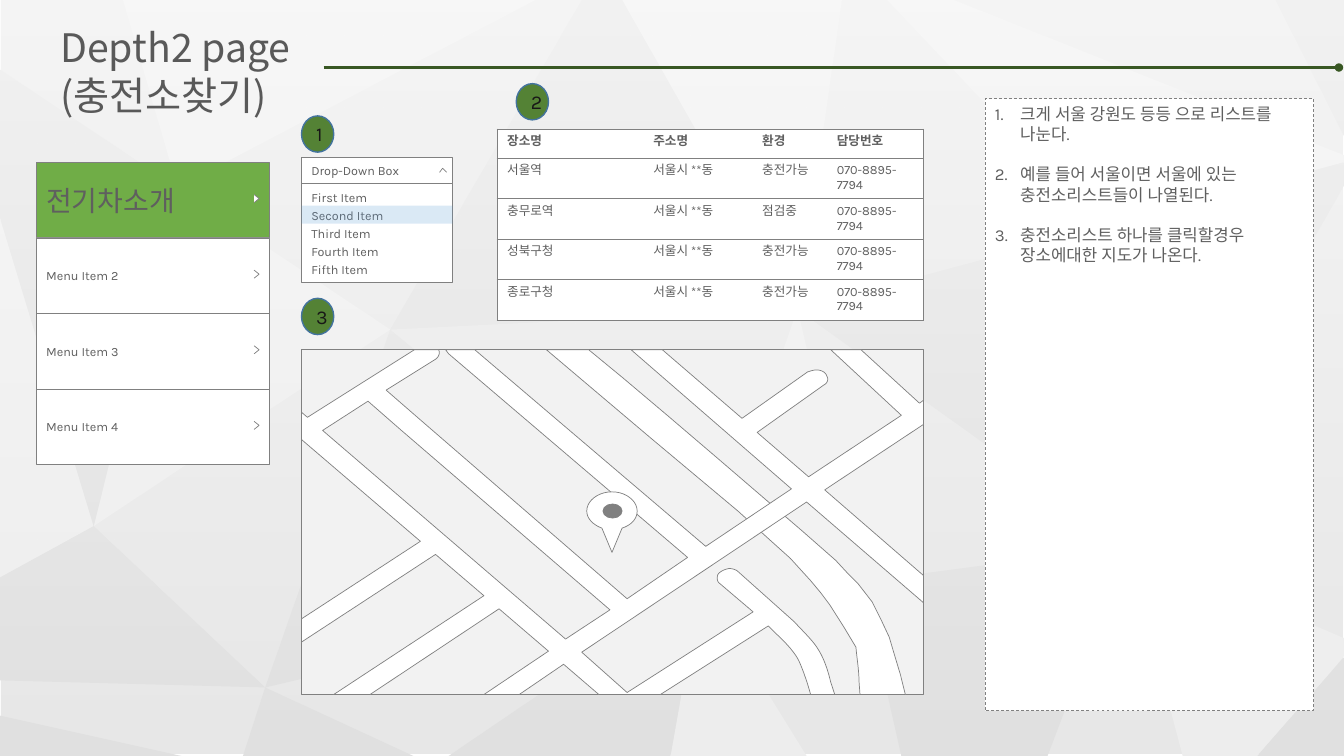
from lxml.etree import SubElement
from pptx import Presentation
from pptx.dml.color import RGBColor
from pptx.enum.dml import MSO_LINE
from pptx.enum.shapes import MSO_CONNECTOR, MSO_SHAPE as Preset
from pptx.enum.text import MSO_ANCHOR as Anchor, PP_ALIGN as Align
from pptx.oxml.ns import qn
from pptx.util import Inches, Pt

WHITE = RGBColor(0xFF, 0xFF, 0xFF)
PAPER = RGBColor(0xE7, 0xE7, 0xE7)
LIGHT_FACET = RGBColor(0xED, 0xED, 0xED)
DARK_FACET = RGBColor(0xE0, 0xE0, 0xE0)
GRAY = RGBColor(0x80, 0x80, 0x80)
LAND = RGBColor(0xF2, 0xF2, 0xF2)
TEXT = RGBColor(0x5F, 0x5F, 0x5F)
TITLE = RGBColor(0x59, 0x59, 0x59)
INK = RGBColor(0x18, 0x17, 0x17)
RULE = RGBColor(0x38, 0x57, 0x23)
BADGE = RGBColor(0x54, 0x82, 0x35)
BADGE_EDGE = RGBColor(0x43, 0x73, 0x9E)
MENU_GREEN = RGBColor(0x70, 0xAD, 0x47)
HIGHLIGHT = RGBColor(0x5B, 0x9B, 0xD5)
BODY_FONT, KOREAN_FONT = "Karla", "Noto Sans CJK KR"

LIGHT_FACETS = [
    "6.95,5.8 6.65,7.5 8,7.5", "7.91,3.07 6.95,5.8 8.55,5.77",
    "11.18,5.42 11.73,7.5 12.47,7.5 C 12.79,7.13 13.15,6.73 13.33,6.51 13.33,6.33",
    "0,2.16 0,5.73 0.93,5.22", "8.8,0 10.94,2.26 13.33,1.61 13.33,1.54 9.46,0",
    "0.93,5.22 3.87,3.27 1.76,1.86", "1.22,0 1.76,1.86 5.31,0",
    "6.17,0 7.91,3.07 8.35,0",
]
DARK_FACETS = [
    "0.93,5.22 0,5.73 0,6.75 2.63,6.82", "2.63,6.82 2.41,7.5 4.1,7.5",
    "13.33,6.52 C 13.15,6.73 12.79,7.13 12.47,7.5 13.33,7.5",
    "0,7.1 0,7.5 1.8,7.5", "11.18,5.42 8.55,5.77 8.94,7.5 10.39,7.5",
    "6.95,5.8 4.45,7.5 6.65,7.5",
    "13.33,1.61 7.91,3.07 11.18,5.42 C 11.18,5.42 12.87,2.69 13.33,1.84",
    "6.95,5.8 3.87,3.27 2.63,6.82", "12.65,0 13.33,1.35 13.33,0",
    "0,0.69 0,2.16 0.93,5.22 1.76,1.86", "5.77,0 3.87,3.27 7.91,3.07 6.17,0",
]
HIGHWAY = (
    "5.42,3.47 6.46,4.35 7.32,5.07 7.64,5.36 7.84,5.54 7.94,5.65 8.04,5.76 8.14,5.88 "
    "8.23,6 8.37,6.22 8.49,6.42 C 8.5,6.54 8.52,6.65 8.52,6.75 8.53,6.89 8.98,6.89 "
    "8.93,6.69 8.87,6.49 8.82,6.32 8.74,6.15 8.65,5.97 8.58,5.88 8.51,5.79 8.41,5.69 "
    "8.29,5.56 7.96,5.27 7.11,4.54 6.63,4.13 6.18,3.75 5.84,3.47"
)
SOUTH_STREETS = (
    "4.11,3.47 3.05,4.14 2.99,4.09 2.99,4.36 4.17,5.37 2.99,6.14 2.99,6.37 4.32,5.5 "
    "4.8,5.91 3.31,6.89 3.67,6.89 4.95,6.04 5.44,6.46 4.8,6.89 5.15,6.89 5.59,6.59 "
    "5.94,6.89 6.55,6.89 7.62,6.21 7.69,6.28 C 7.78,6.36 7.87,6.46 7.91,6.53 "
    "C 7.94,6.58 8,6.74 8.04,6.89 8.28,6.89 8.24,6.77 C 8.21,6.64 8.17,6.53 8.12,6.45 "
    "C 8.07,6.36 7.96,6.26 7.88,6.17 7.32,5.67 C 7.3,5.65 7.26,5.64 7.23,5.64 "
    "C 7.18,5.65 7.14,5.67 7.12,5.7 C 7.11,5.73 7.11,5.77 7.14,5.79 7.47,6.07 6.22,6.87"
)
NORTH_STREETS = (
    "5.77,6.47 8,4.98 9.16,5.98 9.16,5.71 8.18,4.86 9.16,4.21 9.16,3.97 9.12,4 8.54,3.47 "
    "8.24,3.47 8.94,4.12 8.02,4.73 7.51,4.29 8.17,3.82 C 8.21,3.8 8.22,3.76 8.2,3.73 "
    "C 8.19,3.69 8.14,3.67 8.1,3.67 C 8.07,3.67 8.04,3.68 8.01,3.69 7.36,4.15 6.57,3.47 "
    "6.26,3.47 7.85,4.85 7,5.42 4.71,3.47 4.42,3.47 4.45,3.51 6.82,5.53 6.22,5.94 "
    "4.14,4.14 3.83,3.87 4.31,3.57 C 4.35,3.55 4.37,3.5 4.35,3.47"
)
CITY_BLOCK = "3.65,3.98 3.97,4.26 6.05,6.05 5.61,6.34 3.2,4.27"
PIN = (
    "6.07,4.88 C 5.93,4.88 5.82,4.97 5.82,5.07 C 5.82,5.15 5.89,5.21 5.97,5.24 6.07,5.48 "
    "6.17,5.24 C 6.26,5.21 6.32,5.15 6.32,5.07 C 6.32,4.97 6.21,4.88 6.07,4.88"
)
NOTES = [
    "크게 서울 강원도 등등 으로 리스트를 나눈다.",
    "예를 들어 서울이면 서울에 있는 충전소리스트들이 나열된다.",
    "충전소리스트 하나를 클릭할경우 장소에대한 지도가 나온다.",
]
DROP_ITEMS = ["First Item", "Second Item", "Third Item", "Fourth Item", "Fifth Item"]
MENU = ["전기차소개", "Menu Item 2", "Menu Item 3", "Menu Item 4"]
STATIONS = [("서울역", "충전가능"), ("충무로역", "점검중"), ("성북구청", "충전가능"), ("종로구청", "충전가능")]


def trace(outline):
    """Turn an outline into points, where C precedes a curve's three points."""
    points, marks = [], iter(outline.split())

    def pair(mark):
        return tuple(float(number) for number in mark.split(","))

    for mark in marks:
        if mark != "C":
            points.append(pair(mark))
            continue
        corners = [points[-1]] + [pair(next(marks)) for _ in range(3)]
        for step in range(1, 11):
            t = step / 10
            weights = ((1 - t) ** 3, 3 * t * (1 - t) ** 2, 3 * t * t * (1 - t), t ** 3)
            points.append(tuple(sum(w * c[axis] for w, c in zip(weights, corners)) for axis in (0, 1)))
    return [(Inches(x), Inches(y)) for x, y in points]


def fade(shape, *percents):
    """Set the opacity of the shape's fill colours in order."""
    for color, percent in zip(shape.element.spPr.iter(qn("a:srgbClr")), percents):
        SubElement(color, qn("a:alpha")).set("val", str(percent * 1000))


def write(frame, text, size=9, color=TEXT, font=BODY_FONT, bold=False, align=None, after=0,
          line=None, numbered=False):
    """Write each line of text as a formatted paragraph."""
    frame.word_wrap = True
    for index, words in enumerate(text.split("\n")):
        para = frame.add_paragraph() if index else frame.paragraphs[0]
        para.alignment = align or Align.LEFT
        para.space_after = Pt(after)
        if line:
            para.line_spacing = Pt(line)
        span = para.add_run()
        span.text = words
        span.font.size, span.font.bold, span.font.name = Pt(size), bold, font
        span.font.color.rgb = color
        SubElement(span.font._element, qn("a:ea")).set("typeface", font)
        if numbered:
            props = para._p.get_or_add_pPr()
            props.set("marL", str(Inches(0.25)))
            props.set("indent", str(Inches(-0.25)))
            SubElement(props, qn("a:buAutoNum")).set("type", "arabicPeriod")


class Wireframe:
    """Draws elements in one style on the current page."""

    def __init__(self, page, edge=GRAY, weight=0.5):
        self.page, self.edge, self.weight = page, edge, weight

    def paint(self, shape, fill, edge, weight=None):
        """Apply fill and line without shadow."""
        shape.shadow.inherit = False
        if fill is None:
            shape.fill.background()
        else:
            shape.fill.solid()
            shape.fill.fore_color.rgb = fill
        if edge is None:
            shape.line.fill.background()
        else:
            shape.line.color.rgb, shape.line.width = edge, Pt(weight or self.weight)
        return shape

    def box(self, at, fill, edge=None, kind=Preset.RECTANGLE, weight=None, text=None,
            anchor=Anchor.TOP, inset=(0.1, 0.05, 0.1, 0.05), **style):
        """Draw a preset shape that may hold text."""
        box = self.paint(self.page.shapes.add_shape(kind, *map(Inches, at)), fill, edge, weight)
        if text:
            frame = box.text_frame
            frame.vertical_anchor = anchor
            frame.margin_left, frame.margin_top, frame.margin_right, frame.margin_bottom = map(Inches, inset)
            write(frame, text, **style)
        return box

    def outline(self, *contours, fill=None, edge=None, close=True):
        """Draw a freeform of one or more contours."""
        first, *others = map(trace, contours)
        builder = self.page.shapes.build_freeform(*first[0])
        builder.add_line_segments(first[1:], close=close)
        for points in others:
            builder.move_to(*points[0])
            builder.add_line_segments(points[1:], close=close)
        return self.paint(builder.convert_to_shape(), fill, edge)

    def badge(self, number, left, top):
        """Draw a numbered green marker."""
        self.box((left, top, 0.32, 0.36), BADGE, BADGE_EDGE, Preset.OVAL, 1, number,
                 Anchor.MIDDLE, size=14, color=INK, align=Align.CENTER)

    def rule(self, left, right, top):
        """Draw the title rule with a dot at its end."""
        rule = self.page.shapes.add_connector(MSO_CONNECTOR.STRAIGHT, *map(Inches, (left, top, right, top)))
        rule.line.color.rgb, rule.line.width = RULE, Pt(2)
        SubElement(rule.line._get_or_add_ln(), qn("a:tailEnd")).set("type", "oval")
        SubElement(rule.element.spPr, qn("a:effectLst"))

    def table(self, at, widths, height, rows):
        """Draw a white table with row lines and an outer frame."""
        table = self.page.shapes.add_table(len(rows), len(widths), *map(Inches, at)).table
        table.horz_banding = False
        for column, width in zip(table.columns, widths):
            column.width = Inches(width)
        for r, texts in enumerate(rows):
            table.rows[r].height = Inches(height)
            for c, text in enumerate(texts):
                cell = table.cell(r, c)
                write(cell.text_frame, text, bold=r == 0)
                props = cell._tc.get_or_add_tcPr()
                drawn = {"L": c == 0, "R": c == len(widths) - 1, "T": True, "B": True}
                for side, visible in drawn.items():
                    border = SubElement(props, qn("a:ln" + side), w=str(Pt(self.weight)))
                    paint = SubElement(border, qn("a:solidFill" if visible else "a:noFill"))
                    if visible:
                        SubElement(paint, qn("a:srgbClr")).set("val", str(self.edge))
                cell.fill.solid()
                cell.fill.fore_color.rgb = WHITE


def main():
    """Build the charging station page."""
    deck = Presentation()
    deck.slide_width, deck.slide_height = Inches(13.33), Inches(7.5)
    page = deck.slides.add_slide(deck.slide_layouts[6])
    draw = Wireframe(page)

    draw.box((0.01, 0, 13.31, 7.48), PAPER)
    for facets, color in ((LIGHT_FACETS, LIGHT_FACET), (DARK_FACETS, DARK_FACET)):
        for facet in facets:
            draw.outline(facet, fill=color)
    veil = draw.box((0, 0, 13.33, 7.5), WHITE)
    veil.fill.gradient()
    veil.fill.gradient_angle = 270
    for stop in veil.fill.gradient_stops:
        stop.color.rgb = WHITE
    fade(veil, 60, 0)

    notes = draw.box((9.77, 0.98, 3.26, 6.07), WHITE, GRAY, text="\n".join(NOTES),
                     size=12, after=14.4, numbered=True)
    notes.line.dash_style = MSO_LINE.DASH
    title = page.shapes.add_textbox(*map(Inches, (0.5, 0.15, 2.49, 1.04))).text_frame
    title.margin_top = Inches(0.08)
    write(title, "Depth2 page (충전소찾기)", size=28, color=TITLE, font=KOREAN_FONT, line=34)
    draw.rule(3.21, 13.28, 0.67)

    draw.box((2.99, 1.56, 1.5, 0.26), WHITE, GRAY, text="Drop-Down Box",
             anchor=Anchor.MIDDLE, inset=(0.1, 0.06, 0.28, 0.06))
    draw.outline("4.36,1.71 4.39,1.67 4.43,1.71", edge=GRAY, close=False)
    draw.box((2.99, 1.82, 1.5, 0.98), WHITE, GRAY, text="\n".join(DROP_ITEMS),
             inset=(0.1, 0.06, 0.1, 0.06), after=2)
    fade(draw.box((2.99, 2.04, 1.5, 0.18), HIGHLIGHT), 22)

    rows = [("장소명", "주소명", "환경", "담당번호")]
    rows += [(name, "서울시 **동", state, "070-8895-7794") for name, state in STATIONS]
    draw.table((4.93, 1.28, 4.22, 1.45), (1.45, 1.08, 0.74, 0.96), 0.29, rows)

    draw.box((2.99, 3.47, 6.17, 3.42), LAND, GRAY)
    draw.outline(HIGHWAY, fill=WHITE, edge=GRAY)
    draw.outline(f"{SOUTH_STREETS} {NORTH_STREETS}", CITY_BLOCK, fill=WHITE, edge=GRAY)
    draw.outline(PIN, fill=WHITE, edge=GRAY)
    draw.box((5.98, 5, 0.19, 0.14), GRAY, GRAY, Preset.OVAL)
    for number, left, top in (("1", 2.99, 1.15), ("2", 5.12, 0.83), ("3", 2.99, 2.96)):
        draw.badge(number, left, top)

    for index, label in enumerate(MENU):
        top = 1.61 + 0.75 * index
        look = {"size": 9} if index else {"size": 20, "font": KOREAN_FONT}
        draw.box((0.36, top, 2.31, 0.75), WHITE if index else MENU_GREEN, GRAY, text=label,
                 anchor=Anchor.MIDDLE, inset=(0.1, 0.05, 0.2, 0.05), **look)
        draw.outline(f"2.52,{top + 0.4:.2f} 2.57,{top + 0.36:.2f} 2.52,{top + 0.32:.2f}",
                     fill=WHITE, edge=GRAY, close=False)
    deck.save("out.pptx")


if __name__ == "__main__":
    main()
